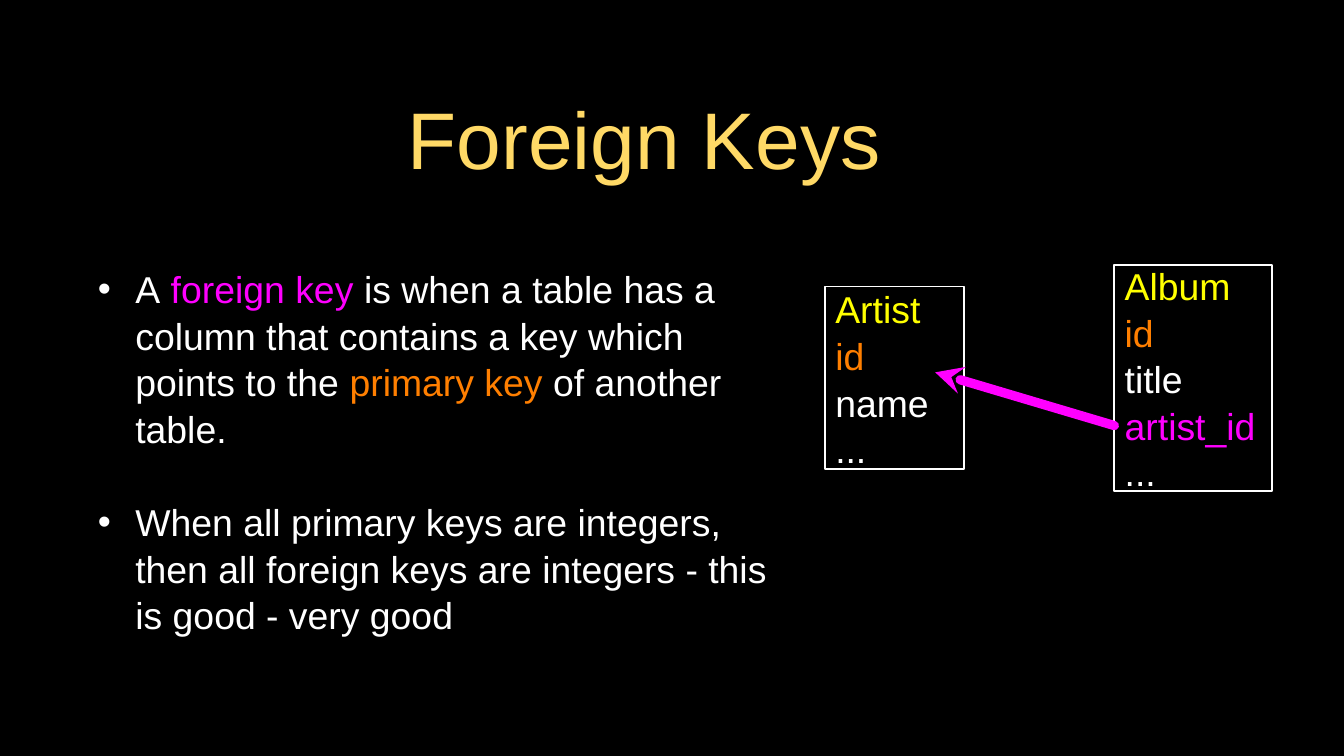
from pptx import Presentation
from pptx.dml.color import RGBColor
from pptx.enum import shapes, text
from pptx.oxml import ns, xmlchemy
from pptx.util import Pt

COLORS = {
    "background": "000000",
    "title": "FFD966",
    "plain": "FFFFFF",
    "heading": "FFFF00",
    "primary": "FF7F00",
    "foreign": "FF00FF",
}


def rgb(name):
    return RGBColor.from_string(COLORS[name])


def add_element(parent, tag, **attributes):
    element = xmlchemy.OxmlElement(tag)
    for key, value in attributes.items():
        element.set(key, value)
    parent.append(element)
    return element


class SlideBuilder:
    font = "Arial"
    title_size = 43
    text_size = 20
    line_spacing = 1.04

    def __init__(self, prs):
        self.slide = prs.slides.add_slide(prs.slide_layouts[5])
        fill = self.slide.background.fill
        fill.solid()
        fill.fore_color.rgb = rgb("background")

    def set_frame(self, tf, inset, left_inset=None):
        tf.word_wrap = True
        tf.auto_size = text.MSO_AUTO_SIZE.NONE
        tf.vertical_anchor = text.MSO_ANCHOR.MIDDLE
        tf.margin_top = tf.margin_right = tf.margin_bottom = Pt(inset)
        tf.margin_left = Pt(inset if left_inset is None else left_inset)

    def add_run(self, p, words, color, size):
        r = p.add_run()
        r.text = words
        r.font.name = self.font
        r.font.size = Pt(size)
        r.font.color.rgb = rgb(color)

    def add_paragraph(self, tf, index, runs):
        p = tf.paragraphs[0] if index == 0 else tf.add_paragraph()
        p.alignment = text.PP_ALIGN.LEFT
        p.line_spacing = self.line_spacing
        for words, color in runs:
            self.add_run(p, words, color, self.text_size)
        return p

    def title(self, words, left, top, width, height):
        sp = self.slide.shapes.title
        sp.left, sp.top, sp.width, sp.height = map(Pt, (left, top, width, height))
        self.set_frame(sp.text_frame, 1.5)
        p = sp.text_frame.paragraphs[0]
        p.alignment = text.PP_ALIGN.CENTER
        self.add_run(p, words, "title", self.title_size)

    def bullets(self, items, left, top, width, height):
        sp = self.slide.shapes.add_textbox(*map(Pt, (left, top, width, height)))
        self.set_frame(sp.text_frame, 1.5)
        for i, runs in enumerate(items):
            p = self.add_paragraph(sp.text_frame, i, runs)
            if i:
                p.space_before = Pt(25)
            pPr = p._p.get_or_add_pPr()
            pPr.set("marL", str(Pt(20)))
            pPr.set("indent", str(-Pt(20)))
            color = add_element(pPr, "a:buClr")
            add_element(color, "a:srgbClr", val=COLORS["plain"])
            add_element(pPr, "a:buFont", typeface=self.font)
            add_element(pPr, "a:buChar", char="•")

    def table_box(self, fields, left, top, width, height):
        """Draw a database table as an outlined box with one field a line."""
        sp = self.slide.shapes.add_shape(
            shapes.MSO_SHAPE.RECTANGLE, *map(Pt, (left, top, width, height)))
        sp.shadow.inherit = False
        sp.fill.background()
        sp.line.color.rgb = rgb("plain")
        sp.line.width = Pt(1)
        self.set_frame(sp.text_frame, 0, left_inset=5.5)
        for i, field in enumerate(fields):
            self.add_paragraph(sp.text_frame, i, [field])

    def arrow(self, x1, y1, x2, y2):
        line = self.slide.shapes.add_connector(
            shapes.MSO_CONNECTOR.STRAIGHT, *map(Pt, (x1, y1, x2, y2)))
        line.line.color.rgb = rgb("foreign")
        line.line.width = Pt(5)
        ln = line._element.spPr.find(ns.qn("a:ln"))
        ln.set("cap", "rnd")
        add_element(ln, "a:tailEnd", type="stealth")
        add_element(line._element.spPr, "a:effectLst")


def main():
    prs = Presentation()
    prs.slide_width, prs.slide_height = Pt(720), Pt(405)

    s = SlideBuilder(prs)
    s.title("Foreign Keys", 51, 34.5, 588, 78)
    s.bullets([
        [("A", "plain"),
         (" foreign key", "foreign"),
         (" is when a table has a column that contains a key which points to the ",
          "plain"),
         ("primary key", "primary"),
         (" of another table.", "plain")],
        [("When all primary keys are integers, then all foreign keys are "
          "integers - this is good - very good", "plain")],
    ], 51, 115, 373, 253)
    s.table_box([("Artist", "heading"), ("id", "primary"), ("name", "plain"),
                 ("...", "plain")], 442, 153.5, 74.5, 98)
    s.table_box([("Album", "heading"), ("id", "primary"), ("title", "plain"),
                 ("artist_id", "foreign"), ("...", "plain")],
                597, 142, 84.5, 121)
    s.arrow(597, 228, 501, 199.5)

    prs.save("out.pptx")


if __name__ == "__main__":
    main()
